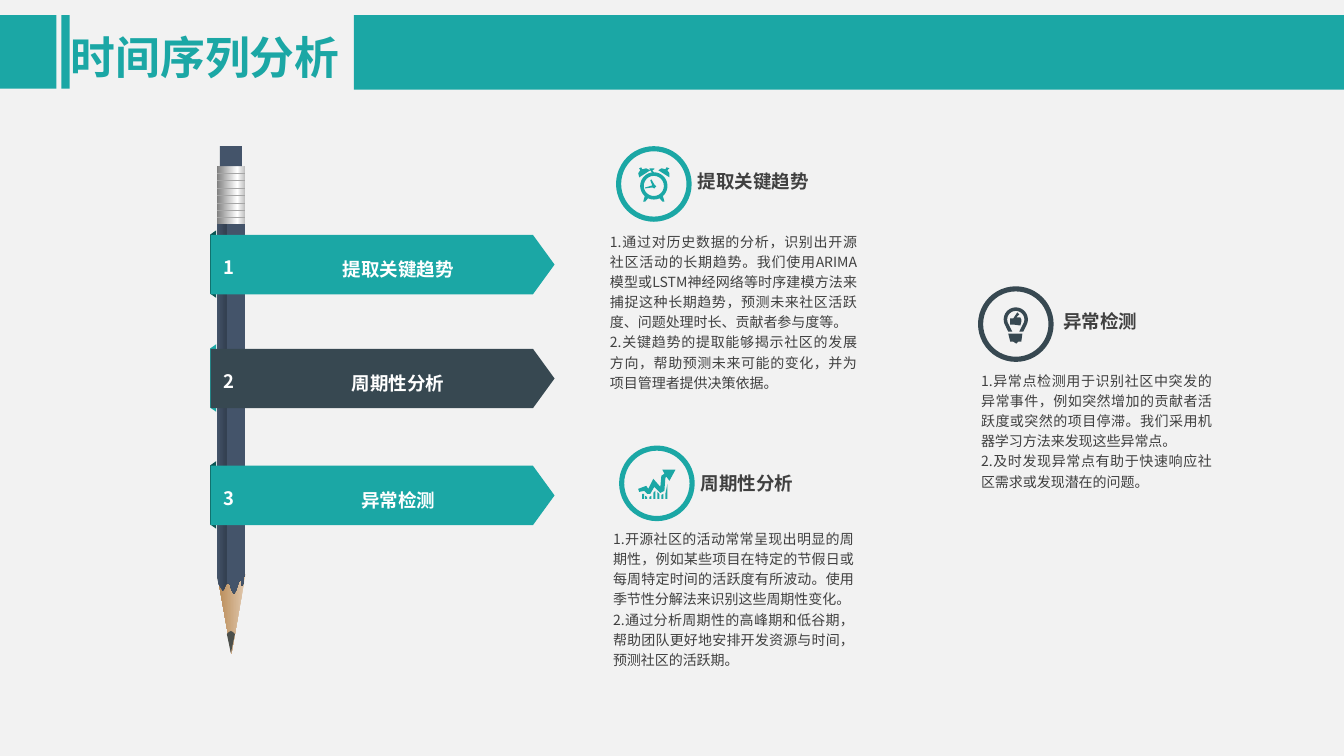
from math import cos, radians, sin

from lxml.etree import SubElement
from pptx import Presentation
from pptx.dml.color import RGBColor
from pptx.enum.shapes import MSO_CONNECTOR, MSO_SHAPE as SHAPE
from pptx.enum.text import MSO_ANCHOR as ANCHOR, MSO_AUTO_SIZE as FIT, PP_ALIGN as ALIGN
from pptx.oxml.ns import qn
from pptx.util import Inches, Pt

FONT = "Noto Sans CJK SC"
TEAL, DARK_TEAL, SLATE = "1BA7A5", "0D5453", "374851"
NAVY, GREY_TEXT, WHITE = "44546A", "404040", "FFFFFF"

# Number, label, banner top, banner colour, fold colour
BANNERS = [
    ("1", "提取关键趋势 ", 2.33, TEAL, DARK_TEAL),
    ("2", "周期性分析 ", 3.46, SLATE, TEAL),
    ("3", "异常检测 ", 4.62, TEAL, DARK_TEAL),
]

# Heading, ring corner, heading box, list box, colour, list items
SECTIONS = [
    ("提取关键趋势", (6.11, 1.45), (6.82, 1.59, 1.31, 0.37), (5.95, 2.23, 2.65, 2.12), TEAL, [
        "1.通过对历史数据的分析，识别出开源社区活动的长期趋势。我们使用ARIMA模型或LSTM神经网络等"
        "时序建模方法来捕捉这种长期趋势，预测未来社区活跃度、问题处理时长、贡献者参与度等。",
        "2.关键趋势的提取能够揭示社区的发展方向，帮助预测未来可能的变化，并为项目管理者提供决策依据。"]),
    ("周期性分析", (6.14, 4.42), (6.85, 4.59, 1.13, 0.37), (5.98, 5.18, 2.59, 1.72), TEAL, [
        "1.开源社区的活动常常呈现出明显的周期性，例如某些项目在特定的节假日或每周特定时间的活跃度"
        "有所波动。使用季节性分解法来识别这些周期性变化。",
        "2.通过分析周期性的高峰期和低谷期，帮助团队更好地安排开发资源与时间，预测社区的活跃期。"]),
    ("异常检测", (9.7, 2.84), (10.45, 2.98, 0.94, 0.37), (9.63, 3.61, 2.49, 1.31), SLATE, [
        "1.异常点检测用于识别社区中突发的异常事件，例如突然增加的贡献者活跃度或突然的项目停滞。"
        "我们采用机器学习方法来发现这些异常点。",
        "2.及时发现异常点有助于快速响应社区需求或发现潜在的问题。"]),
]


def rgb(colour):
    return RGBColor.from_string(colour)


def paint(shape, colour):
    shape.shadow.inherit = False
    shape.fill.solid()
    shape.fill.fore_color.rgb = rgb(colour)
    shape.line.fill.background()
    return shape


def paint_gradient(shape, stops, angle):
    shape.shadow.inherit = False
    shape.line.fill.background()
    shape.fill.gradient()
    shape.fill.gradient_angle = -angle % 360
    stop_list = shape.fill._fill._gradFill.find(qn("a:gsLst"))
    for old_stop in list(stop_list):
        stop_list.remove(old_stop)
    for position, colour in stops:
        stop = SubElement(stop_list, qn("a:gs"), pos=str(position * 1000))
        SubElement(stop, qn("a:srgbClr"), val=colour)


def add_block(shapes, kind, box, colour=WHITE, adjust=None, rotation=0):
    block = shapes.add_shape(kind, *map(Inches, box))
    if adjust is not None:
        block.adjustments[0] = adjust
    block.rotation = rotation
    return paint(block, colour)


def add_outline(shapes, contours, colour=WHITE):
    in_emu = [[(Inches(x), Inches(y)) for x, y in contour] for contour in contours]
    builder = shapes.build_freeform(*in_emu[0][0])
    builder.add_line_segments(in_emu[0][1:], close=True)
    for contour in in_emu[1:]:
        builder.move_to(*contour[0])
        builder.add_line_segments(contour[1:], close=True)
    return paint(builder.convert_to_shape(), colour)


def arc(x, y, radius, start, end, steps=24):
    angles = [radians(start + (end - start) * i / steps) for i in range(steps + 1)]
    return [(x + radius * cos(a), y + radius * sin(a)) for a in angles]


def write(holder, lines, size, colour, align=ALIGN.LEFT, bold=True, spacing=1.2):
    frame = holder.text_frame
    frame.text = "\n".join(lines)
    for paragraph in frame.paragraphs:
        paragraph.alignment = align
        paragraph.line_spacing = spacing
        paragraph.space_before = Pt(0)
        for run in paragraph.runs:
            run.font.size, run.font.bold, run.font.name = Pt(size), bold, FONT
            run.font.color.rgb = rgb(colour)
            SubElement(run.font._element, qn("a:ea"), typeface=FONT)


def add_label(shapes, text, box, colour, align=ALIGN.LEFT, wrap=False):
    label = shapes.add_textbox(*map(Inches, box))
    write(label, [text], 13.2, colour, align)
    label.text_frame.word_wrap = wrap
    label.text_frame.auto_size = FIT.SHAPE_TO_FIT_TEXT


def place(holder, box, anchor):
    holder.left, holder.top, holder.width, holder.height = map(Inches, box)
    frame = holder.text_frame
    frame.word_wrap, frame.auto_size, frame.vertical_anchor = True, FIT.NONE, anchor


def fill_list(holder, box, items):
    place(holder, box, ANCHOR.TOP)
    write(holder, items, 10, GREY_TEXT, ALIGN.JUSTIFY, bold=False)
    for paragraph in holder.text_frame.paragraphs:
        properties = paragraph._p.get_or_add_pPr()
        properties.set("marL", "0")
        properties.set("indent", "0")
        SubElement(properties, qn("a:buNone"))


def add_pencil(shapes):
    # Wood, barrel, ferrule, eraser and lead
    wood = add_block(shapes, SHAPE.PENTAGON, (1.9, 5.95, 0.79, 0.28), adjust=2.816, rotation=90)
    paint_gradient(wood, [(0, "E1C9AF"), (100, "B88954")], 90)
    barrel = add_outline(shapes, [[
        (2.15, 2.22), (2.43, 2.22), (2.43, 5.7), (2.42, 5.78), (2.4, 5.81), (2.39, 5.76),
        (2.38, 5.75), (2.36, 5.8), (2.34, 5.86), (2.32, 5.89), (2.3, 5.86), (2.28, 5.8),
        (2.26, 5.78), (2.24, 5.8), (2.22, 5.85), (2.21, 5.86), (2.17, 5.8), (2.15, 5.72)]])
    paint_gradient(barrel, [(0, NAVY), (34, "333F50"), (38, NAVY), (100, NAVY)], 0)
    ferrule = add_block(shapes, SHAPE.RECTANGLE, (2.15, 1.65, 0.28, 0.57))
    paint_gradient(ferrule, [(0, "BFBFBF"), (27, "FFFFFF"), (100, "808080")], 180)
    add_block(shapes, SHAPE.RECTANGLE, (2.18, 1.45, 0.22, 0.2), NAVY)
    add_outline(shapes, [[(2.25, 6.29), (2.27, 6.27), (2.29, 6.26), (2.31, 6.27),
                          (2.33, 6.29), (2.29, 6.48)]], "4C504C")
    # Ferrule grooves
    for i in range(7):
        y = Inches(1.72 + i * 0.44 / 6)
        groove = shapes.add_connector(MSO_CONNECTOR.STRAIGHT, Inches(2.15), y, Inches(2.43), y)
        groove.line.color.rgb = rgb("A6A6A6")
        groove.line.width = Pt(0.5)
        SubElement(groove._element.spPr, qn("a:effectLst"))


def add_banner(shapes, number, label, top, colour, fold_colour):
    add_block(shapes, SHAPE.TRAPEZOID, (1.78, top + 0.26, 0.67, 0.06), fold_colour, 0.698, 270)
    add_block(shapes, SHAPE.PENTAGON, (2.09, top, 3.41, 0.59), colour, 0.363)
    add_label(shapes, number, (2.11, top + 0.12, 0.32, 0.37), WHITE, ALIGN.CENTER)
    add_label(shapes, label, (2.84, top + 0.14, 2.26, 0.37), WHITE, ALIGN.CENTER, wrap=True)


def clock_contours():
    x, y = 6.485, 1.845
    body = (arc(x, y, 0.135, -90, 48) + [(6.59, 2), (6.57, 2)] + arc(x, y, 0.135, 65, 115)
            + [(6.4, 2), (6.38, 2)] + arc(x, y, 0.135, 132, 262)
            + [(6.45, 1.69), (6.44, 1.67), (6.49, 1.67), (6.49, 1.68), (6.47, 1.69)])
    right_bell = [(6.53, 1.69), (6.56, 1.67), (6.6, 1.68), (6.61, 1.66), (6.64, 1.67),
                  (6.62, 1.69), (6.64, 1.72), (6.64, 1.76)]
    left_bell = [(6.45, 1.69), (6.41, 1.67), (6.37, 1.68), (6.36, 1.66), (6.34, 1.67),
                 (6.35, 1.69), (6.33, 1.72), (6.34, 1.76)]
    hands = [(6.47, 1.84), (6.4, 1.86), (6.4, 1.87), (6.47, 1.86), (6.49, 1.87), (6.51, 1.85),
             (6.49, 1.83), (6.46, 1.78), (6.45, 1.79)]
    return [body, arc(x, y, 0.1, 0, 360), right_bell, left_bell, hands]


def trend_contours():
    arrow = [(6.7, 4.66), (6.64, 4.77), (6.61, 4.73), (6.6, 4.74), (6.59, 4.87), (6.55, 4.89),
             (6.49, 4.83), (6.45, 4.9), (6.42, 4.9), (6.39, 4.87), (6.34, 4.88), (6.33, 4.85),
             (6.41, 4.82), (6.43, 4.85), (6.48, 4.75), (6.55, 4.83), (6.56, 4.72), (6.59, 4.7),
             (6.57, 4.66)]
    bars = [(6.37, 4.9, 4.9), (6.4, 4.92, 4.93), (6.44, 4.93, 4.92), (6.48, 4.89, 4.87),
            (6.52, 4.88, 4.9), (6.56, 4.91, 4.9), (6.6, 4.9, 4.8)]
    return [arrow] + [[(x, 4.95), (x, left), (x + 0.02, right), (x + 0.02, 4.95)]
                      for x, left, right in bars]


def bulb_contours():
    x, y = 10.075, 3.17
    glass = (arc(x, y, 0.12, 150, 390) + [(10.15, 3.29), (10.11, 3.29)]
             + arc(x, y, 0.085, 390, 150) + [(10.04, 3.29), (10, 3.29)])
    base = [(10, 3.31), (10.14, 3.31), (10.13, 3.39), (10.1, 3.39), (10.08, 3.41),
            (10.05, 3.39), (10.02, 3.39)]
    thumb = [(10.02, 3.16), (10.05, 3.16), (10.09, 3.1), (10.11, 3.12), (10.08, 3.15),
             (10.12, 3.15), (10.13, 3.17), (10.13, 3.19), (10.12, 3.23), (10.05, 3.22),
             (10.02, 3.22)]
    return [glass, base, thumb]


def main():
    deck = Presentation()
    deck.slide_width, deck.slide_height = Inches(13.33), Inches(7.5)
    slide = deck.slides.add_slide(deck.slide_layouts.get_by_name("Comparison"))
    shapes = slide.shapes
    slide.background.fill.solid()
    slide.background.fill.fore_color.rgb = rgb("F2F2F2")

    # Header
    for left, width, height in [(0, 0.56, 0.73), (0.61, 0.08, 0.73), (3.51, 9.82, 0.74)]:
        add_block(shapes, SHAPE.RECTANGLE, (left, 0.15, width, height), TEAL)
    place(shapes.title, (0.6, 0.14, 3.38, 0.74), ANCHOR.MIDDLE)
    write(shapes.title, ["时间序列分析"], 32, TEAL)

    # Pencil with banners
    pencil = shapes.add_group_shape().shapes
    add_pencil(pencil)
    for banner in BANNERS:
        add_banner(pencil, *banner)

    # Sections
    _, *list_holders, spare = list(slide.placeholders)
    spare._element.getparent().remove(spare._element)
    icons = [clock_contours(), trend_contours(), bulb_contours()]
    for section, holder, icon in zip(SECTIONS, list_holders, icons):
        heading, ring, heading_box, list_box, colour, items = section
        add_block(shapes, SHAPE.DONUT, (*ring, 0.75, 0.75), colour, 0.068)
        add_outline(shapes, icon, colour)
        add_label(shapes, heading, heading_box, GREY_TEXT)
        fill_list(holder, list_box, items)

    deck.save("out.pptx")


if __name__ == "__main__":
    main()
